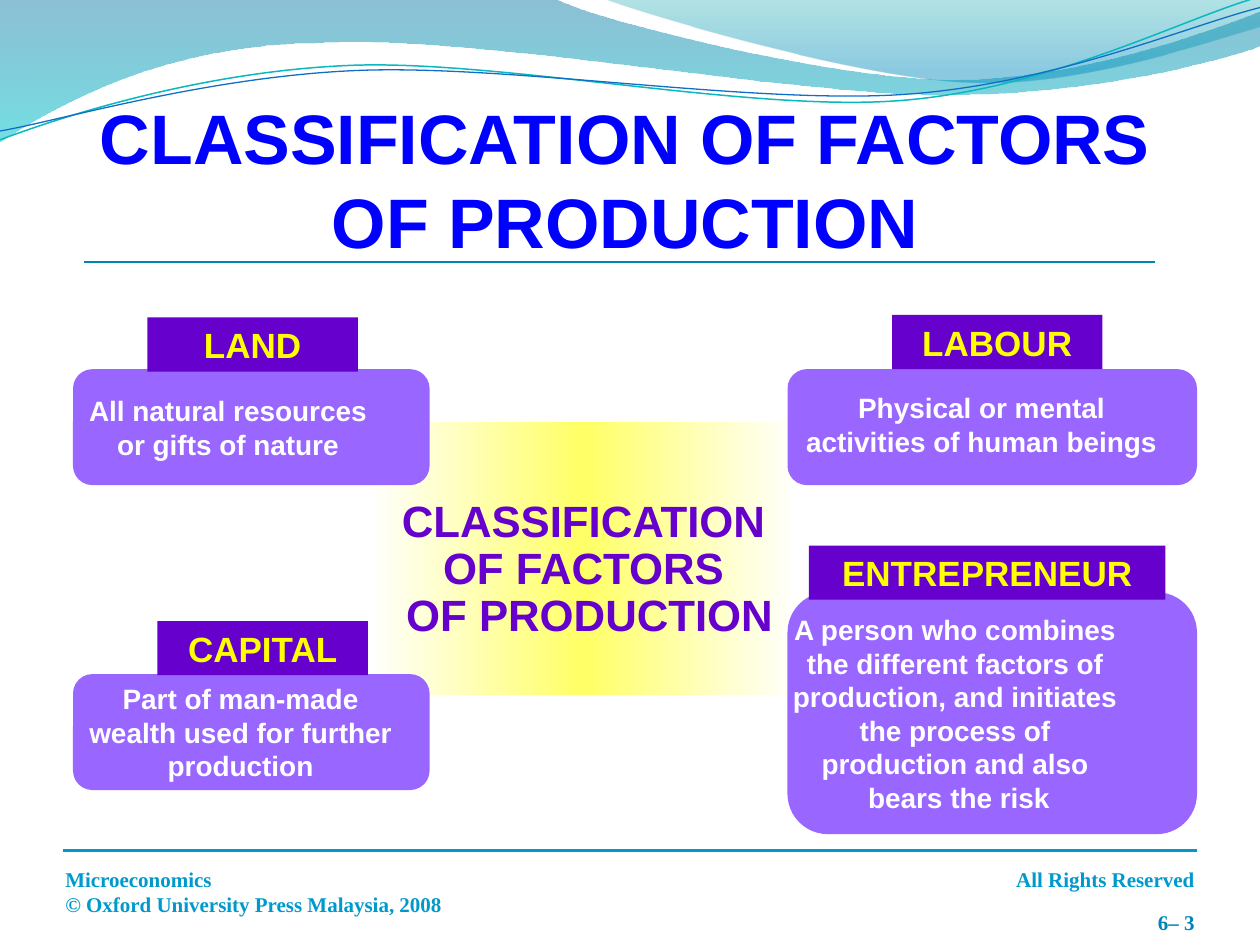
import copy

import lxml.etree
import pptx
import pptx.dml.color
import pptx.enum.shapes
import pptx.enum.text
import pptx.oxml.ns
import pptx.util

Inches = pptx.util.Inches
qn = pptx.oxml.ns.qn
SHAPE = pptx.enum.shapes.MSO_SHAPE
ALIGN = pptx.enum.text.PP_ALIGN
ANCHOR = pptx.enum.text.MSO_ANCHOR

# Content: label, label box, card box, centre of the description, description
FACTORS = [
    ("LAND", (1.17, 2.52, 1.67, 0.43), (0.58, 2.93, 2.83, 0.92), (1.81, 3.39),
     ["All natural resources", "or gifts of nature"]),
    ("LABOUR", (7.08, 2.5, 1.67, 0.43), (6.25, 2.93, 3.25, 0.92), (7.79, 3.37),
     ["Physical or mental", "activities of human beings"]),
    ("ENTREPRENEUR", (6.42, 4.33, 2.83, 0.43), (6.25, 4.7, 3.25, 1.92), (7.58, 5.66),
     ["A person who combines\nthe different factors of\nproduction, and initiates",
      "the process of", "production and also", " bears the risk"]),
    ("CAPITAL", (1.25, 4.93, 1.67, 0.43), (0.58, 5.35, 2.83, 0.92), (1.91, 5.81),
     ["Part of man-made", "wealth used for further", "production"]),
]
TITLE = ["CLASSIFICATION OF FACTORS OF PRODUCTION"]
CENTRE = ["CLASSIFICATION", "OF FACTORS", " OF PRODUCTION"]
FOOTERS = [
    (["All Rights Reserved"], (7.58, 6.83, 2, 0.25), "footer", ALIGN.RIGHT),
    (["Microeconomics", "© Oxford University Press Malaysia, 2008"],
     (0.42, 6.83, 6.17, 0.5), "footer", ALIGN.LEFT),
    (["6– 3"], (8.98, 7.17, 0.6, 0.3), "number", ALIGN.RIGHT),
]
RULES = [((0.5, 6.75), (9.5, 6.75), "0099CC", 1.25),
         ((0.67, 2.08), (9.17, 2.08), "0083B8", 0.75)]

# Theme: text styles are (font, size, colour); gradient stops are (position, colour, opacity)
THEME = {
    "title": ("Arial", 40, "0000FF"),
    "centre": ("Arial", 25, "6600CC"),
    "label": ("Arial", 20, "FFFF00"),
    "body": ("Arial", 16, "FFFFFF"),
    "footer": ("Times New Roman", 12, "0099CC"),
    "number": ("Times New Roman", 12, "0083B8"),
    "label_fill": "6600CC",
    "card_fill": "9966FF",
    "glow": [(0, "FFFFFF", 100), (50, "FFFF66", 100), (100, "FFFFFF", 100)],
    "wave_left": [(0, "0074A1", 45), (100, "00C6CF", 55)],
    "wave_right": [(0, "00A1A9", 30), (80, "008BBF", 45)],
}

# Waves: a start point, then line ends (2 numbers) or Bezier curves (6 numbers)
BANDS = [
    ("wave_left", [(0, -0.01), (4.4, -0.01), (4.76, 0.17, 6.64, 0.63, 7.58, 0.63),
                   (8.53, 0.63, 9.58, 0.26, 10, 0.09), (10.01, 0.36),
                   (9.83, 0.44, 8.7, 0.76, 7.46, 0.75), (6.22, 0.75, 3.82, 0.28, 2.57, 0.34),
                   (1.29, 0.35, 0.46, 0.83, -0.01, 1.13)]),
    ("wave_right", [(4.79, -0.01), (5.09, 0.11, 6.82, 0.62, 7.69, 0.65),
                    (8.56, 0.69, 9.61, 0.32, 10, 0.21), (10, 0)]),
]
STRANDS = [
    ("0AB8BF", 0.85, [(0, 1.11), (0.48, 0.93, 1.58, 0.57, 2.77, 0.52),
                      (3.95, 0.47, 5.93, 0.89, 7.13, 0.8), (8.33, 0.71, 9.38, 0.15, 9.98, -0.02)]),
    ("0F6FC6", 0.75, [(0, 1.04), (0.47, 0.96, 1.64, 0.61, 2.83, 0.56),
                      (4.03, 0.51, 5.97, 0.83, 7.17, 0.75), (8.36, 0.67, 9.41, 0.21, 10, 0.06)]),
]


def rgb(value):
    return pptx.dml.color.RGBColor.from_string(value)


def set_line(line, color, width):
    line.color.rgb = rgb(color)
    line.width = pptx.util.Pt(width)


def set_gradient(sp, stops, angle):
    sp.fill.gradient()
    grad = sp._element.spPr.find(qn("a:gradFill"))
    grad.find(qn("a:lin")).set("ang", str(angle * 60000))
    gs_list = grad.find(qn("a:gsLst"))
    gs_list.clear()
    for pos, color, opacity in stops:
        gs = lxml.etree.SubElement(gs_list, qn("a:gs"), pos=str(pos * 1000))
        clr = lxml.etree.SubElement(gs, qn("a:srgbClr"), val=color)
        if opacity < 100:
            lxml.etree.SubElement(clr, qn("a:alpha"), val=str(opacity * 1000))


def add_wave(s, segments, close):
    """Draw all points as lines, then merge each three that form a Bezier curve."""
    start, *rest = [(Inches(seg[i]), Inches(seg[i + 1]))
                    for seg in segments for i in range(0, len(seg), 2)]
    builder = s.shapes.build_freeform(*start)
    builder.add_line_segments(rest, close=close)
    sp = builder.convert_to_shape()
    sp.shadow.inherit = False
    lines = iter(list(sp._element.iter(qn("a:lnTo"))))
    for seg in segments[1:]:
        first = next(lines)
        if len(seg) == 6:
            first.tag = qn("a:cubicBezTo")
            for other in (next(lines), next(lines)):
                first.append(other[0])
                other.getparent().remove(other)
    return sp


def add_box(s, kind, box, color=None):
    sp = s.shapes.add_shape(kind, *map(Inches, box))
    sp.shadow.inherit = False
    sp.line.fill.background()
    if color:
        sp.fill.solid()
        sp.fill.fore_color.rgb = rgb(color)
    return sp


def write(sp, lines, style, align=ALIGN.CENTER, spacing=None, **frame):
    tf = sp.text_frame
    for name, value in {"word_wrap": True, "vertical_anchor": ANCHOR.TOP, **frame}.items():
        setattr(tf, name, value)
    font, size, color = THEME[style]
    for i, line in enumerate(lines):
        p = tf.paragraphs[0] if i == 0 else tf.add_paragraph()
        p.alignment, p.line_spacing = align, spacing
        for j, part in enumerate(line.split("\n")):
            if j:
                p.add_line_break()
            r = p.add_run()
            r.text = part
            for name, value in {"name": font, "size": pptx.util.Pt(size), "bold": True}.items():
                setattr(r.font, name, value)
            r.font.color.rgb = rgb(color)
        for br in p._p.findall(qn("a:br")):
            br.append(copy.deepcopy(r._r.rPr))


def add_text(s, box, lines, style, **options):
    write(s.shapes.add_textbox(*map(Inches, box)), lines, style, **options)


def main():
    prs = pptx.Presentation()
    prs.slide_width, prs.slide_height = Inches(10), Inches(7.5)
    s = prs.slides.add_slide(prs.slide_layouts[6])

    # Wave decoration
    for stops, segments in BANDS:
        sp = add_wave(s, segments, True)
        set_gradient(sp, THEME[stops], 90)
        sp.line.fill.background()
    for color, width, segments in STRANDS:
        sp = add_wave(s, segments, False)
        sp.fill.background()
        set_line(sp.line, color, width)

    # Footer, title and rules
    for lines, box, style, align in FOOTERS:
        add_text(s, box, lines, style, align=align)
    add_text(s, (0.67, 1.08, 8.58, 1), TITLE, "title", vertical_anchor=ANCHOR.BOTTOM,
             margin_left=0, margin_right=0, margin_bottom=0)
    for start, end, color, width in RULES:
        cx = s.shapes.add_connector(pptx.enum.shapes.MSO_CONNECTOR.STRAIGHT,
                                    *map(Inches, start + end))
        set_line(cx.line, color, width)
        lxml.etree.SubElement(cx._element.spPr, qn("a:effectLst"))

    # Central panel
    sp = add_box(s, SHAPE.RECTANGLE, (2.92, 3.35, 3.42, 2.17))
    set_gradient(sp, THEME["glow"], 0)
    write(sp, CENTRE, "centre", spacing=0.9, vertical_anchor=ANCHOR.MIDDLE,
          margin_top=Inches(0.22), margin_bottom=Inches(0.04))

    # Factor cards
    for label, label_box, card_box, (x, y), lines in FACTORS:
        add_box(s, SHAPE.FLOWCHART_ALTERNATE_PROCESS, card_box, THEME["card_fill"])
        height = 0.27 * len("\n".join(lines).split("\n")) + 0.1
        add_text(s, (x - 1.5, y - height / 2, 3, height), lines, "body",
                 vertical_anchor=ANCHOR.MIDDLE)
        write(add_box(s, SHAPE.RECTANGLE, label_box, THEME["label_fill"]), [label], "label")

    prs.save("out.pptx")


if __name__ == "__main__":
    main()
